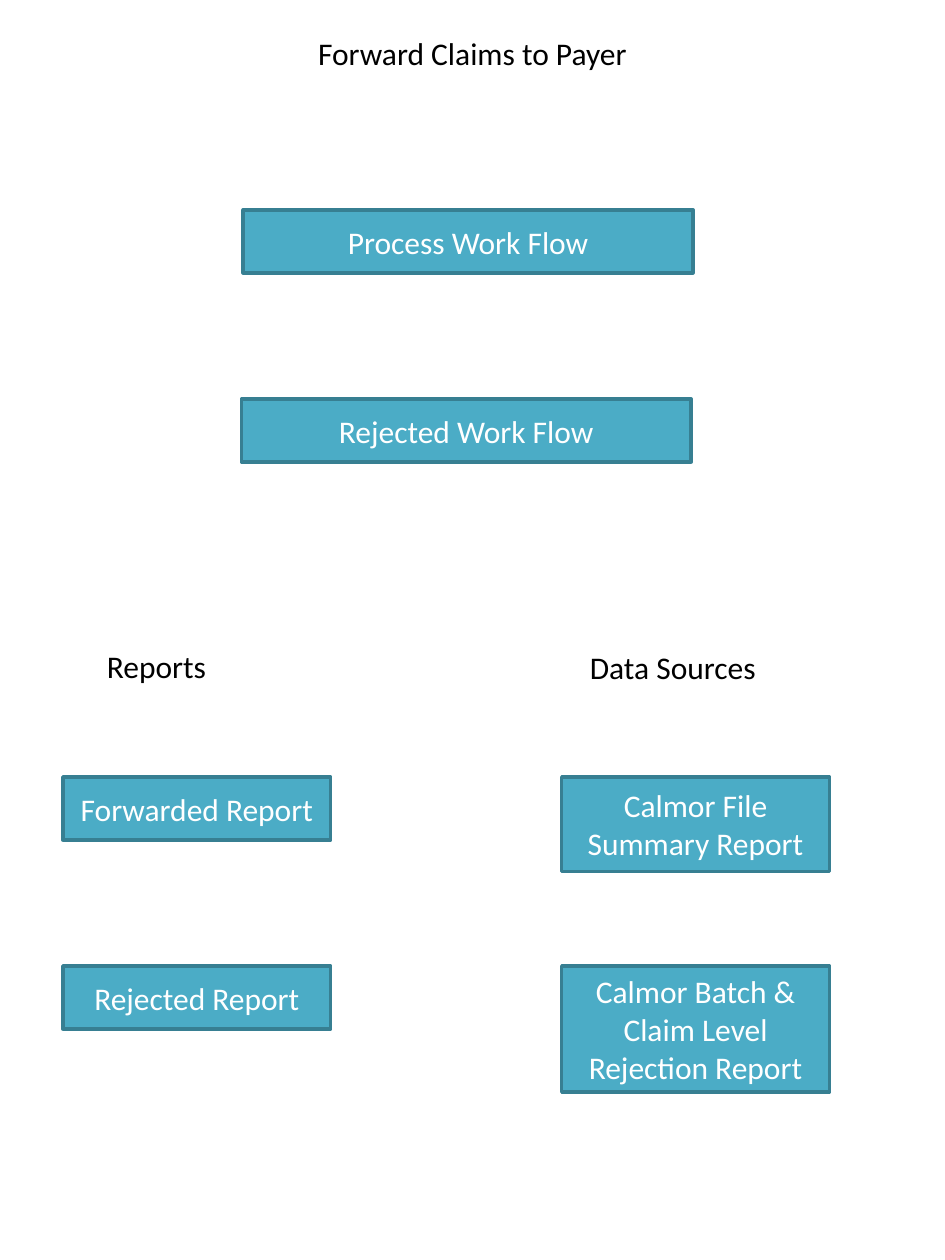
from dataclasses import dataclass

from pptx import Presentation
from pptx.dml.color import RGBColor
from pptx.enum.shapes import MSO_SHAPE
from pptx.enum.text import MSO_ANCHOR, MSO_AUTO_SIZE, PP_ALIGN
from pptx.slide import Slide
from pptx.text.text import TextFrame
from pptx.util import Pt


@dataclass(frozen=True)
class Theme:
    font: str = "Calibri"
    size: float = 18
    line_width: float = 2
    heading: RGBColor = RGBColor(0x00, 0x00, 0x00)
    box_text: RGBColor = RGBColor(0xFF, 0xFF, 0xFF)
    box_fill: RGBColor = RGBColor(0x4B, 0xAC, 0xC6)
    box_line: RGBColor = RGBColor(0x37, 0x7F, 0x92)


@dataclass(frozen=True)
class Heading:
    text: str
    left: float
    top: float
    width: float
    align: PP_ALIGN = PP_ALIGN.LEFT


@dataclass(frozen=True)
class Box:
    text: str
    left: float
    top: float
    width: float
    height: float = 36


THEME = Theme()
PAGE_WIDTH, PAGE_HEIGHT = 540, 720
HEADING_HEIGHT = 29

# Rows and columns
FIRST_ROW, ROW_STEP = 120, 108
FLOW_ROWS = [FIRST_ROW + ROW_STEP * row for row in (0, 1)]
LIST_ROWS = [FIRST_ROW + ROW_STEP * row for row in (3, 4)]
FLOW_WIDTH, LIST_WIDTH = 257, 153
REPORT_LEFT, SOURCE_LEFT = 36, 321

HEADINGS = [
    Heading("Forward Claims to Payer", 0, 16, PAGE_WIDTH, PP_ALIGN.CENTER),
    Heading("Reports", 54, 366, LIST_WIDTH),
    Heading("Data Sources", 330, 367, LIST_WIDTH),
]

BOXES = [
    Box("Process Work Flow", 139, FLOW_ROWS[0], FLOW_WIDTH),
    Box("Rejected Work Flow", 138, FLOW_ROWS[1], FLOW_WIDTH),
    Box("Forwarded Report", REPORT_LEFT, LIST_ROWS[0], LIST_WIDTH),
    Box("Rejected Report", REPORT_LEFT, LIST_ROWS[1], LIST_WIDTH),
    Box("Calmor File Summary Report", SOURCE_LEFT, LIST_ROWS[0], LIST_WIDTH, 54),
    Box("Calmor Batch & Claim Level Rejection Report",
        SOURCE_LEFT, LIST_ROWS[1], LIST_WIDTH, 72),
]


def write_text(frame: TextFrame, text: str, color: RGBColor, align: PP_ALIGN) -> None:
    frame.word_wrap = True
    paragraph = frame.paragraphs[0]
    paragraph.alignment = align
    run = paragraph.add_run()
    run.text = text
    font_format = {"name": THEME.font, "size": Pt(THEME.size)}
    for attribute, value in font_format.items():
        setattr(run.font, attribute, value)
    run.font.color.rgb = color


def draw_heading(slide: Slide, heading: Heading) -> None:
    label = slide.shapes.add_textbox(
        Pt(heading.left), Pt(heading.top), Pt(heading.width), Pt(HEADING_HEIGHT))
    write_text(label.text_frame, heading.text, THEME.heading, heading.align)
    label.text_frame.auto_size = MSO_AUTO_SIZE.SHAPE_TO_FIT_TEXT


def draw_box(slide: Slide, box: Box) -> None:
    panel = slide.shapes.add_shape(
        MSO_SHAPE.RECTANGLE,
        Pt(box.left), Pt(box.top), Pt(box.width), Pt(box.height))
    panel.shadow.inherit = False
    panel.fill.solid()
    panel.fill.fore_color.rgb = THEME.box_fill
    panel.line.color.rgb = THEME.box_line
    panel.line.width = Pt(THEME.line_width)
    panel.text_frame.vertical_anchor = MSO_ANCHOR.MIDDLE
    write_text(panel.text_frame, box.text, THEME.box_text, PP_ALIGN.CENTER)


def main() -> None:
    presentation = Presentation()
    presentation.slide_width = Pt(PAGE_WIDTH)
    presentation.slide_height = Pt(PAGE_HEIGHT)
    slide = presentation.slides.add_slide(presentation.slide_layouts[6])

    # Title and column headings
    for heading in HEADINGS:
        draw_heading(slide, heading)

    # Work flows, reports and data sources
    for box in BOXES:
        draw_box(slide, box)

    presentation.save("out.pptx")


if __name__ == "__main__":
    main()
